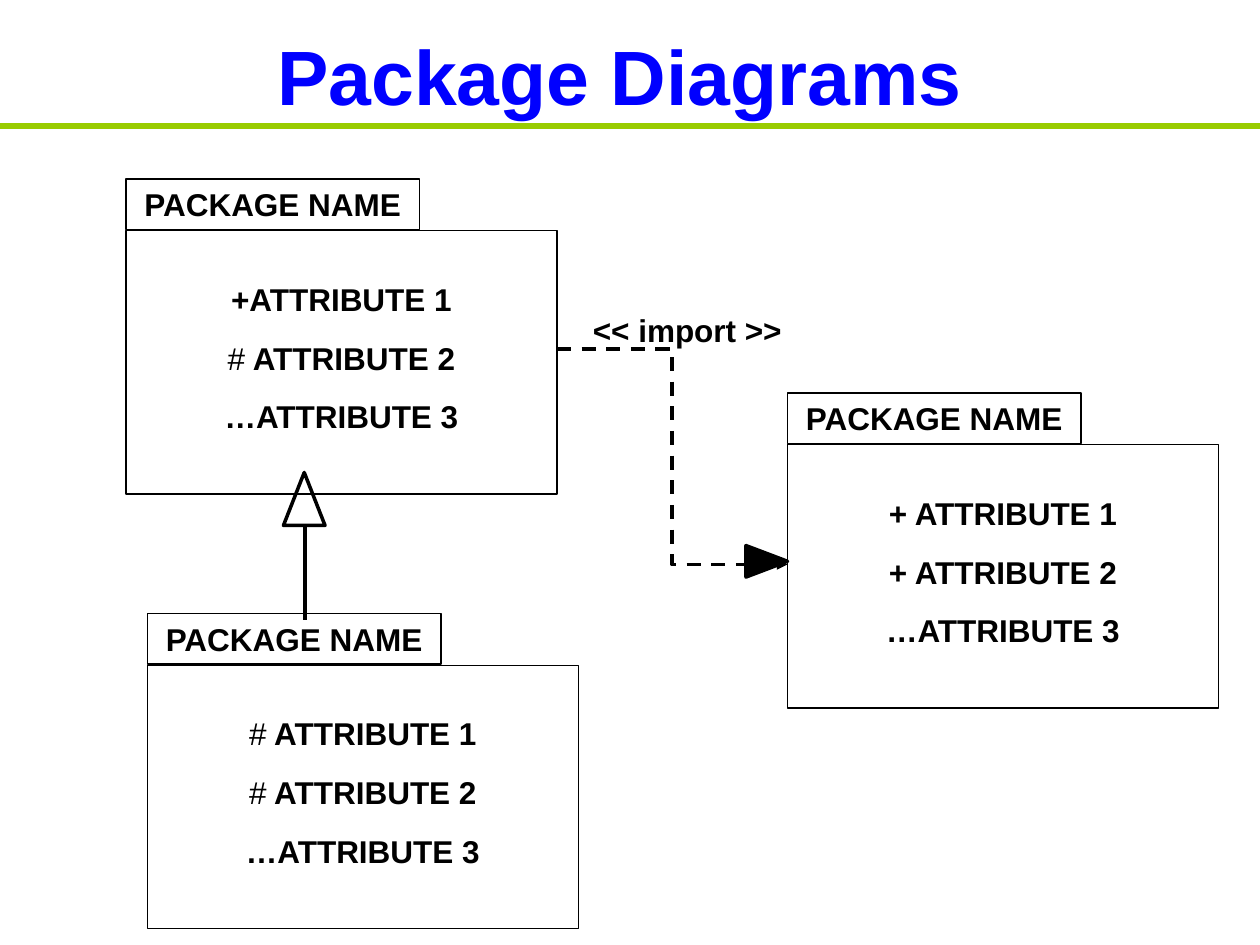
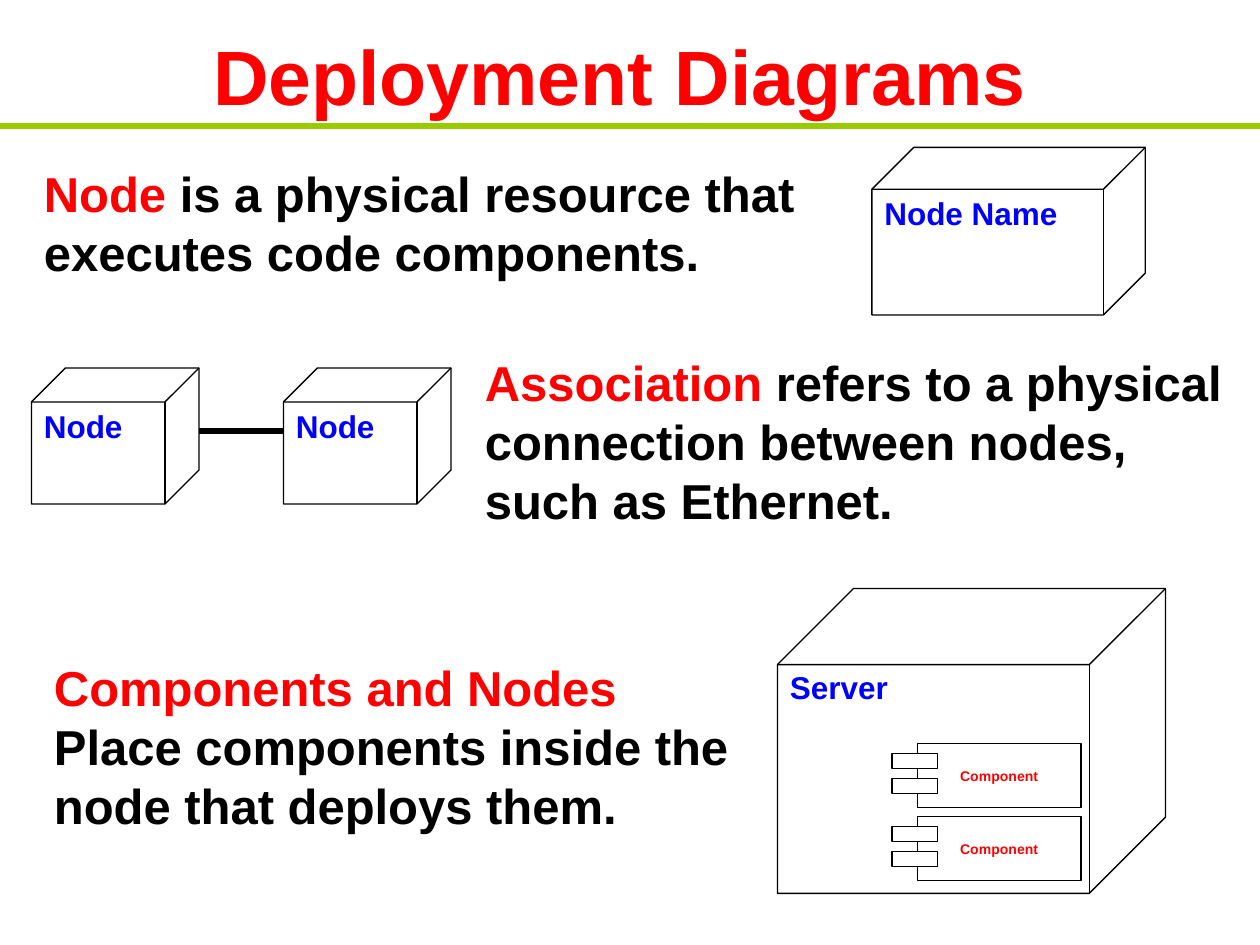
from dataclasses import dataclass

from lxml import etree
from pptx import Presentation
from pptx.dml.color import RGBColor
from pptx.enum.dml import MSO_LINE
from pptx.enum.shapes import MSO_CONNECTOR, MSO_SHAPE
from pptx.enum.text import MSO_ANCHOR, MSO_AUTO_SIZE, PP_ALIGN
from pptx.oxml.ns import qn
from pptx.util import Inches, Pt

COLORS = {
    "blue": "0000FF",
    "red": "FF0000",
    "black": "000000",
    "white": "FFFFFF",
    "green": "99CC00",
}
FONT = "Arial"
THIN, MEDIUM, THICK = 0.75, 2, 3


@dataclass(frozen=True)
class Span:
    text: str
    color: str = "black"
    bold: bool = True


@dataclass(frozen=True)
class Package:
    left: float
    top: float
    attributes: tuple[str, ...]


@dataclass(frozen=True)
class Node:
    name: str
    left: float
    top: float
    width: float
    height: float
    label_width: float


@dataclass(frozen=True)
class Definition:
    left: float
    top: float
    width: float
    height: float
    paragraphs: list[list[Span]]


PACKAGES = [
    Package(1, 1.42, ("+ATTRIBUTE 1", "# ATTRIBUTE 2", "…ATTRIBUTE 3")),
    Package(1.17, 4.87, ("# ATTRIBUTE 1", "# ATTRIBUTE 2", "…ATTRIBUTE 3")),
    Package(6.25, 3.12, ("+ ATTRIBUTE 1", "+ ATTRIBUTE 2", "…ATTRIBUTE 3")),
]
NODES = [
    Node("Node Name", 6.92, 1.17, 2.17, 1.33, 1.69),
    Node("Server", 6.17, 4.67, 3.08, 2.42, 1),
    Node("Node", 0.25, 2.92, 1.33, 1.08, 0.83),
    Node("Node", 2.25, 2.92, 1.33, 1.08, 0.83),
]
DEFINITIONS = [
    Definition(0.25, 1.25, 6.5, 1.04, [
        [Span("Node", "red"),
         Span(" is a physical resource that executes code components.")],
    ]),
    Definition(3.75, 2.75, 6.25, 1.5, [
        [Span("Association", "red"),
         Span(" refers to a physical connection between nodes, such as Ethernet.")],
    ]),
    Definition(0.33, 5.17, 5.75, 1.5, [
        [Span("Components and Nodes", "red")],
        [Span("Place components inside the node that deploys them.")],
    ]),
]


def rgb(name: str) -> RGBColor:
    return RGBColor.from_string(COLORS[name])


def write(sp, paragraphs: list[list[Span]], size: float, align=PP_ALIGN.CENTER,
          gap: float = 0, anchor=MSO_ANCHOR.TOP) -> None:
    """Fill a shape with paragraphs of spans, spaced gap points apart."""
    tf = sp.text_frame
    tf.word_wrap = True
    tf.auto_size = MSO_AUTO_SIZE.NONE
    tf.vertical_anchor = anchor
    for i, spans in enumerate(paragraphs):
        p = tf.add_paragraph() if i else tf.paragraphs[0]
        p.alignment = align
        p.space_before = Pt(gap if i else 0)
        for span in spans:
            r = p.add_run()
            r.text = span.text
            r.font.name = FONT
            r.font.size = Pt(size)
            r.font.bold = span.bold
            r.font.color.rgb = rgb(span.color)


def add_outline(slide, kind, left: float, top: float, width: float, height: float,
                weight: float = THIN, fill: str | None = None):
    sp = slide.shapes.add_shape(kind, Inches(left), Inches(top),
                                Inches(width), Inches(height))
    sp.shadow.inherit = False
    if fill:
        sp.fill.solid()
        sp.fill.fore_color.rgb = rgb(fill)
    else:
        sp.fill.background()
    sp.line.color.rgb = rgb("black")
    sp.line.width = Pt(weight)
    return sp


def add_text(slide, left: float, top: float, width: float, height: float):
    return slide.shapes.add_textbox(Inches(left), Inches(top),
                                    Inches(width), Inches(height))


def add_line(slide, start: tuple[float, float], end: tuple[float, float],
             weight: float, color: str = "black", kind=MSO_CONNECTOR.STRAIGHT):
    line = slide.shapes.add_connector(kind, *map(Inches, start + end))
    line.line.color.rgb = rgb(color)
    line.line.width = Pt(weight)
    etree.SubElement(line._element.spPr, qn("a:effectLst"))
    return line


def add_titled_slide(prs, title: str, color: str):
    """Add a slide with its title and the green rule below it."""
    slide = prs.slides.add_slide(prs.slide_layouts[5])
    sp = slide.shapes.title
    sp.left, sp.top = Inches(0.67), Inches(0.17)
    sp.width, sp.height = Inches(8.5), Inches(0.85)
    write(sp, [[Span(title, color)]], 44, anchor=MSO_ANCHOR.MIDDLE)
    add_line(slide, (0, 1), (10, 1), THICK, "green")
    return slide


def attribute_spans(text: str) -> list[Span]:
    """Set the protected mark # in regular weight."""
    if text.startswith("#"):
        return [Span("#", bold=False), Span(text[1:])]
    return [Span(text)]


def add_package(slide, package: Package) -> None:
    tab = add_outline(slide, MSO_SHAPE.RECTANGLE, package.left, package.top, 2.33, 0.4)
    write(tab, [[Span("PACKAGE NAME")]], 18)
    body = add_outline(slide, MSO_SHAPE.RECTANGLE,
                       package.left, package.top + 0.41, 3.42, 2.09)
    body.text_frame.margin_top = Inches(0.39)
    write(body, [attribute_spans(a) for a in package.attributes], 18, gap=12)


def add_node(slide, node: Node) -> None:
    add_outline(slide, MSO_SHAPE.CUBE, node.left, node.top, node.width, node.height)
    label_top = node.top + 0.24 * min(node.width, node.height)
    label = add_text(slide, node.left, label_top, node.label_width, 0.4)
    write(label, [[Span(node.name, "blue")]], 18, PP_ALIGN.LEFT)


def add_component(slide, left: float, top: float) -> None:
    body = add_outline(slide, MSO_SHAPE.RECTANGLE, left + 0.2, top, 1.3, 0.51)
    write(body, [[Span("Component", "red")]], 8, anchor=MSO_ANCHOR.MIDDLE)
    for drop in (0.08, 0.28):
        add_outline(slide, MSO_SHAPE.RECTANGLE, left, top + drop, 0.36, 0.12,
                    fill="white")


def build_package_slide(prs) -> None:
    slide = add_titled_slide(prs, "Package Diagrams", "blue")
    for package in PACKAGES:
        add_package(slide, package)

    add_line(slide, (2.42, 4.17), (2.42, 4.92), MEDIUM)
    add_outline(slide, MSO_SHAPE.ISOSCELES_TRIANGLE, 2.25, 3.75, 0.33, 0.42, MEDIUM)

    dependency = add_line(slide, (4.42, 2.77), (6.25, 4.48), MEDIUM,
                          kind=MSO_CONNECTOR.ELBOW)
    dependency.line.dash_style = MSO_LINE.DASH
    etree.SubElement(dependency.line._get_or_add_ln(), qn("a:tailEnd"), type="triangle")
    head = add_outline(slide, MSO_SHAPE.ISOSCELES_TRIANGLE, 5.96, 4.29, 0.25, 0.33,
                       MEDIUM, "black")
    head.rotation = 90
    label = add_text(slide, 4.58, 2.42, 1.75, 0.4)
    write(label, [[Span("<< import >>")]], 18)


def build_deployment_slide(prs) -> None:
    slide = add_titled_slide(prs, "Deployment Diagrams", "red")
    for node in NODES:
        add_node(slide, node)
    for top in (5.9, 6.48):
        add_component(slide, 7.08, top)
    add_line(slide, (1.58, 3.42), (2.25, 3.42), THICK)
    for d in DEFINITIONS:
        box = add_text(slide, d.left, d.top, d.width, d.height)
        write(box, d.paragraphs, 28, PP_ALIGN.LEFT)


def main() -> None:
    prs = Presentation()
    prs.slide_width, prs.slide_height = Inches(10), Inches(7.5)
    build_package_slide(prs)
    build_deployment_slide(prs)
    prs.save("out.pptx")


if __name__ == "__main__":
    main()
